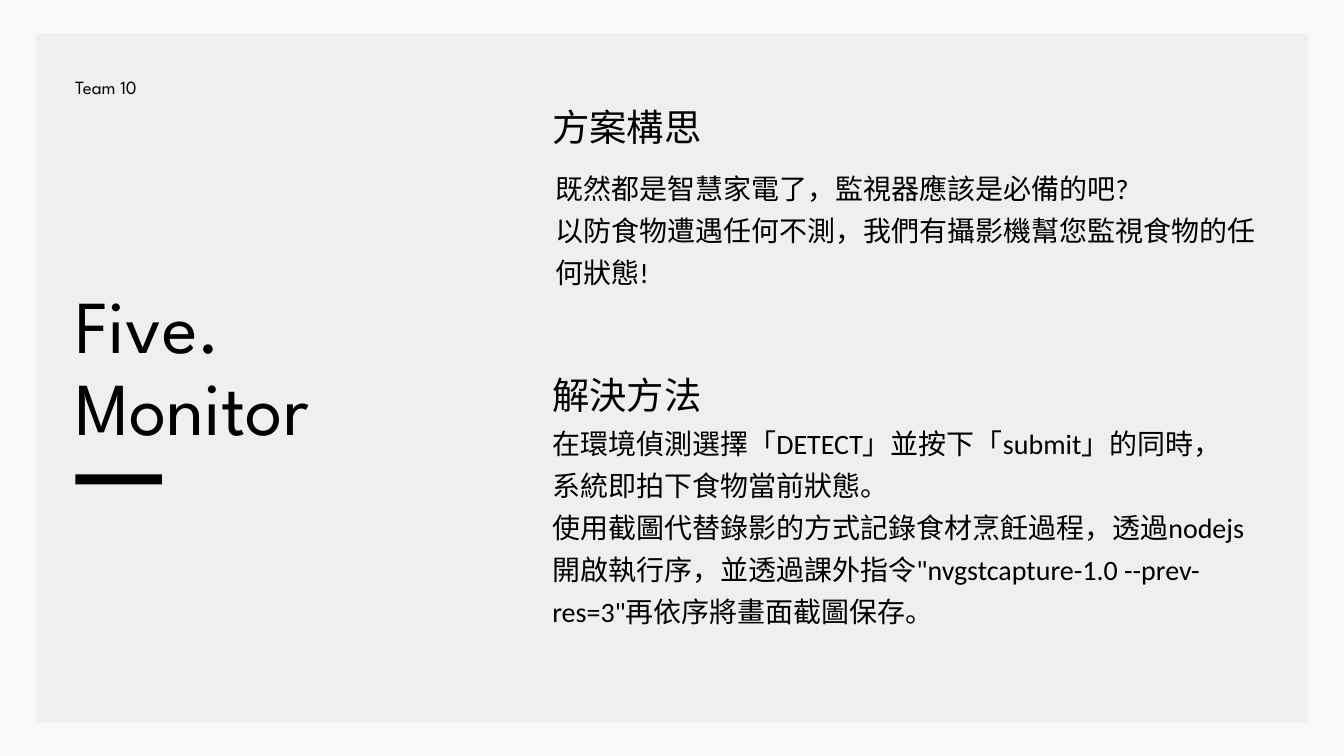
from dataclasses import dataclass
from pptx import Presentation
from pptx.dml.color import RGBColor as RGB
from pptx.enum.shapes import MSO_SHAPE as Shape
from pptx.enum.text import MSO_AUTO_SIZE as Fit
from pptx.util import Emu, Pt

PX = 9144


@dataclass(frozen=True)
class Style:
    font: str
    size: int
    line: int


class Theme:
    back = RGB.from_string("F8F8F8")
    panel = RGB.from_string("EFEFEF")
    ink = RGB.from_string("000000")
    title = Style("League Spartan", 80, 88)
    team = Style("League Spartan", 20, 28)
    head = Style("Calibri", 40, 56)
    body = Style("Calibri", 30, 45)


def scale(*sides):
    return [Emu(side * PX) for side in sides]


def add_rect(slide, box, fill):
    rect = slide.shapes.add_shape(Shape.RECTANGLE, *scale(*box))
    rect.shadow.inherit = False
    rect.fill.solid()
    rect.fill.fore_color.rgb = fill
    rect.line.fill.background()


def add_text(slide, box, lines, style):
    frame = slide.shapes.add_textbox(*scale(*box)).text_frame
    frame.margin_left = frame.margin_right = 0
    frame.margin_top = frame.margin_bottom = 0
    frame.word_wrap = True
    frame.auto_size = Fit.SHAPE_TO_FIT_TEXT
    frame.text = "\n".join(lines)
    for para in frame.paragraphs:
        para.line_spacing = Pt(style.line)
        para.font.name = style.font
        para.font.size = Pt(style.size)
        para.font.color.rgb = Theme.ink


def add_title(slide, box, team, lines):
    left, top, width, height = box
    add_text(slide, (left, top + 318, width, 248), lines, Theme.title)
    add_rect(slide, (left, top + height - 15, 129, 15), Theme.ink)
    add_text(slide, (left, top, 647, 37), [team], Theme.team)


def add_part(slide, box, head, lines, inset, drop):
    left, top, width, height = box
    add_text(slide, (left, top, 341, 73), [head], Theme.head)
    area = (left + inset, top + drop, width - inset, height - drop)
    add_text(slide, area, lines, Theme.body)


def main():
    deck = Presentation()
    deck.slide_width, deck.slide_height = scale(2000, 1125)
    slide = deck.slides.add_slide(deck.slide_layouts[6])
    slide.background.fill.solid()
    slide.background.fill.fore_color.rgb = Theme.back

    add_rect(slide, (53, 50, 1894, 1026), Theme.panel)
    add_title(slide, (112, 108, 760, 613), "Team 10", ["Five.", "Monitor"])
    add_part(slide, (822, 144, 1051, 284), "方案構思", [
        "既然都是智慧家電了，監視器應該是必備的吧?",
        "以防食物遭遇任何不測，我們有攝影機幫您監視食物的任何狀態!",
    ], 5, 99)
    add_part(slide, (822, 542, 1036, 390), "解決方法", [
        "在環境偵測選擇「DETECT」並按下「submit」的同時，系統即拍下食物當前狀態。",
        "使用截圖代替錄影的方式記錄食材烹飪過程，透過nodejs開啟執行序，"
        "並透過課外指令\"nvgstcapture-1.0 --prev-res=3\"再依序將畫面截圖保存。",
    ], 0, 80)
    deck.save("out.pptx")


if __name__ == "__main__":
    main()
